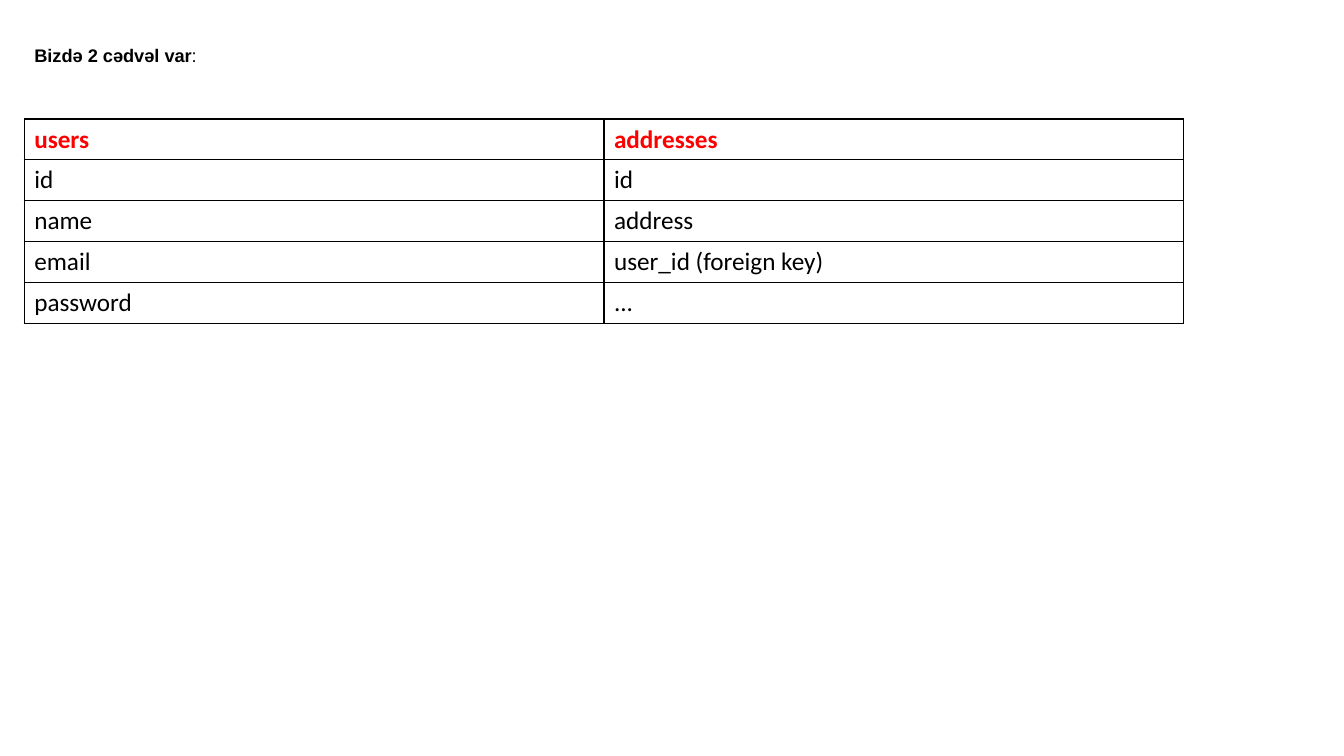
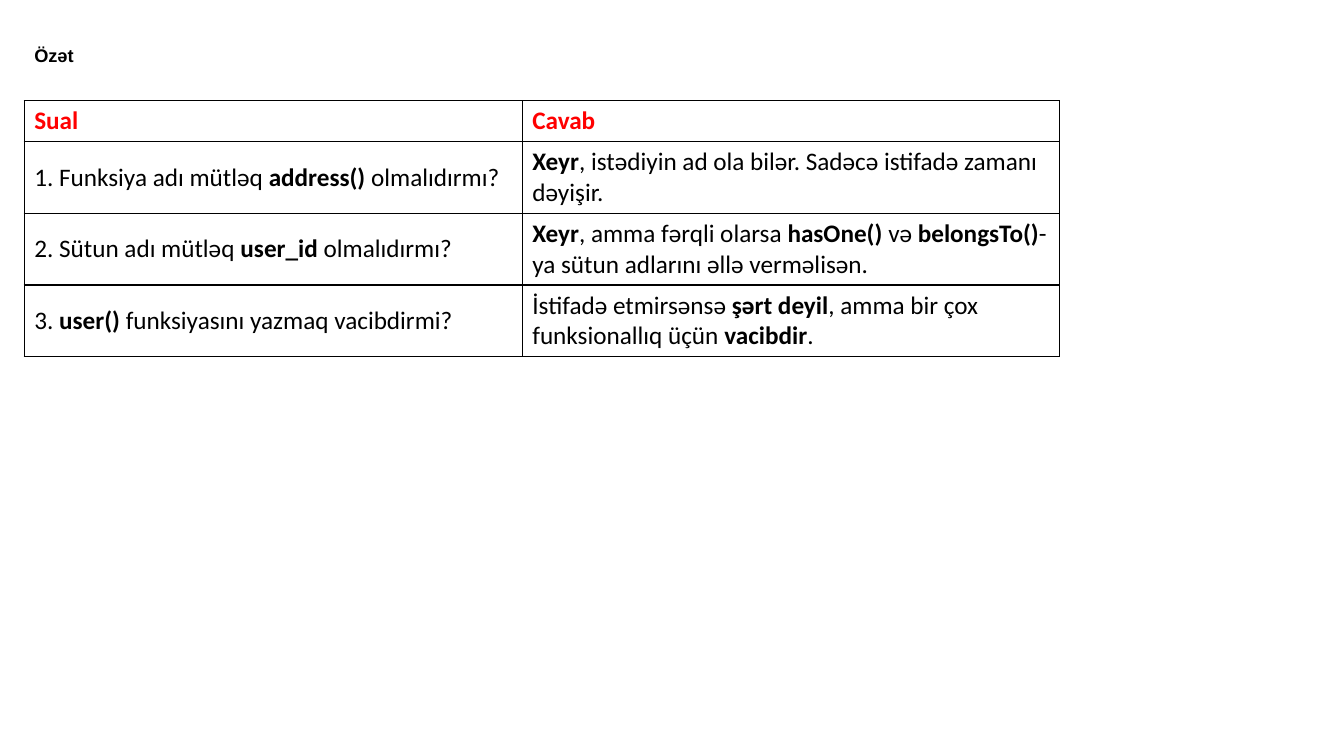
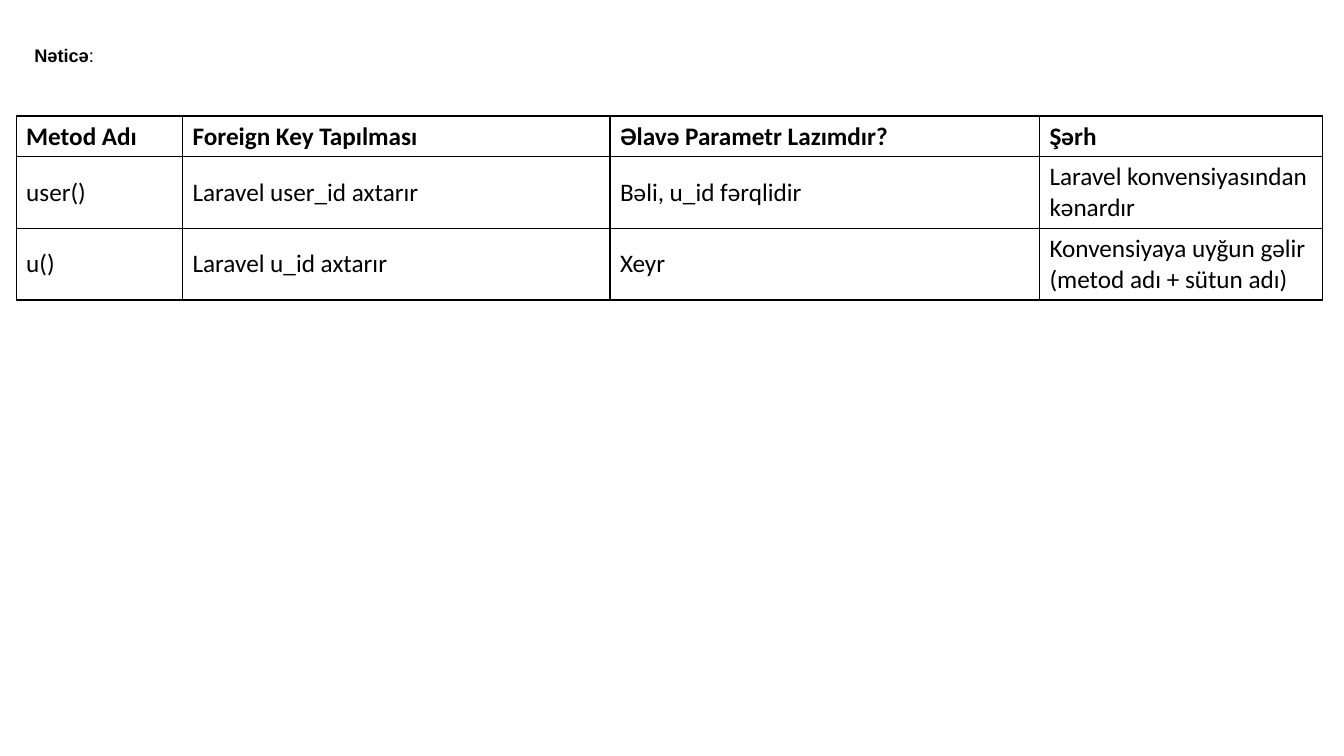
"""Build three slides on table relations, each a short title above a ruled table."""
from lxml.etree import SubElement
from pptx import Presentation
from pptx.dml.color import RGBColor
from pptx.enum.text import MSO_ANCHOR, MSO_AUTO_SIZE, PP_ALIGN
from pptx.oxml.ns import qn
from pptx.util import Inches, Pt

BLACK = RGBColor(0, 0, 0)
RED = RGBColor(255, 0, 0)
TITLE_FONT, TITLE_SIZE = "Arial", Pt(13)
TABLE_FONT, TABLE_SIZE = "Calibri", Pt(18)
TITLE_PLACE = (0.24, 0.28, 12.86, 0.39)
LINE_HEIGHT, CELL_PADDING = 0.3, 0.1
TITLE_ONLY = 5

SLIDES = [
    {
        "title": "**Bizdə 2 cədvəl var**:",
        "corner": (0.24, 1.18),
        "columns": (5.75, 5.75),
        "header_color": RED,
        "lines_per_row": 1,
        "rows": [
            ("users", "addresses"),
            ("id", "id"),
            ("name", "address"),
            ("email", "user_id (foreign key)"),
            ("password", "..."),
        ],
    },
    {
        "title": "**Özət**",
        "corner": (0.24, 1),
        "columns": (4.94, 5.33),
        "header_color": RED,
        "lines_per_row": 2,
        "rows": [
            ("Sual", "Cavab"),
            ("1. Funksiya adı mütləq **address() **olmalıdırmı?",
             "**Xeyr**, istədiyin ad ola bilər. Sadəcə istifadə zamanı dəyişir."),
            ("2. Sütun adı mütləq **user_id **olmalıdırmı?",
             "**Xeyr**, amma fərqli olarsa **hasOne() **və **belongsTo()**"
             "-ya sütun adlarını əllə verməlisən."),
            ("3. **user() **funksiyasını yazmaq vacibdirmi?",
             "İstifadə etmirsənsə **şərt deyil**, amma bir çox funksionallıq "
             "üçün **vacibdir**."),
        ],
    },
    {
        "title": "**Nəticə**:",
        "corner": (0.16, 1.15),
        "columns": (1.65, 4.24, 4.26, 2.81),
        "header_color": BLACK,
        "lines_per_row": 2,
        "rows": [
            ("Metod Adı", "Foreign Key Tapılması", "Əlavə Parametr Lazımdır?", "Şərh"),
            ("user()", "Laravel user_id axtarır", "Bəli, u_id fərqlidir",
             "Laravel konvensiyasından kənardır"),
            ("u()", "Laravel u_id axtarır", "Xeyr",
             "Konvensiyaya uyğun gəlir (metod adı + sütun adı)"),
        ],
    },
]


def write_spans(para, marked_text, font, size, color):
    """Write text in which ** switches bold on and off."""
    for index, part in enumerate(marked_text.split("**")):
        if part:
            span = para.add_run()
            span.text = part
            span.font.name, span.font.size = font, size
            span.font.bold = index % 2 == 1
            span.font.color.rgb = color


def style_title_layout(layout):
    """Place the title once for every slide."""
    title = layout.placeholders[0]
    title.left, title.top, title.width, title.height = map(Inches, TITLE_PLACE)
    title.text_frame.vertical_anchor = MSO_ANCHOR.TOP
    title.text_frame.auto_size = MSO_AUTO_SIZE.NONE


def add_title(page, marked_text):
    """Fill the title placeholder."""
    para = page.shapes.title.text_frame.paragraphs[0]
    para.alignment = PP_ALIGN.LEFT
    para.line_spacing = 1.5
    write_spans(para, marked_text, TITLE_FONT, TITLE_SIZE, BLACK)


def rule_cell(cell):
    """Draw a thin black line on all four sides of a cell."""
    properties = cell._tc.get_or_add_tcPr()
    for index, side in enumerate(("lnL", "lnR", "lnT", "lnB")):
        line = SubElement(properties, qn(f"a:{side}"), w=str(Pt(1)))
        fill = SubElement(line, qn("a:solidFill"))
        SubElement(fill, qn("a:srgbClr"), val=str(BLACK))
        properties.insert(index, line)


def add_ruled_table(page, content):
    """Add the table, with row heights set by the number of text lines."""
    rows, columns = content["rows"], content["columns"]
    line_counts = [1] + [content["lines_per_row"]] * (len(rows) - 1)
    heights = [count * LINE_HEIGHT + CELL_PADDING for count in line_counts]
    place = (*content["corner"], sum(columns), sum(heights))
    table = page.shapes.add_table(len(rows), len(columns), *map(Inches, place)).table
    table.first_row = table.horz_banding = False
    for column, width in zip(table.columns, columns):
        column.width = Inches(width)
    for row_index, (row, height, texts) in enumerate(zip(table.rows, heights, rows)):
        row.height = Inches(height)
        is_header = row_index == 0
        color = content["header_color"] if is_header else BLACK
        for cell, text in zip(row.cells, texts):
            cell.fill.background()
            cell.vertical_anchor = MSO_ANCHOR.MIDDLE
            rule_cell(cell)
            marked_text = f"**{text}**" if is_header else text
            write_spans(cell.text_frame.paragraphs[0], marked_text,
                        TABLE_FONT, TABLE_SIZE, color)


def main():
    """Build and save the deck."""
    deck = Presentation()
    deck.slide_width, deck.slide_height = Inches(13.33), Inches(7.5)
    layout = deck.slide_layouts[TITLE_ONLY]
    style_title_layout(layout)
    for content in SLIDES:
        page = deck.slides.add_slide(layout)
        add_title(page, content["title"])
        add_ruled_table(page, content)
    deck.save("out.pptx")


if __name__ == "__main__":
    main()
